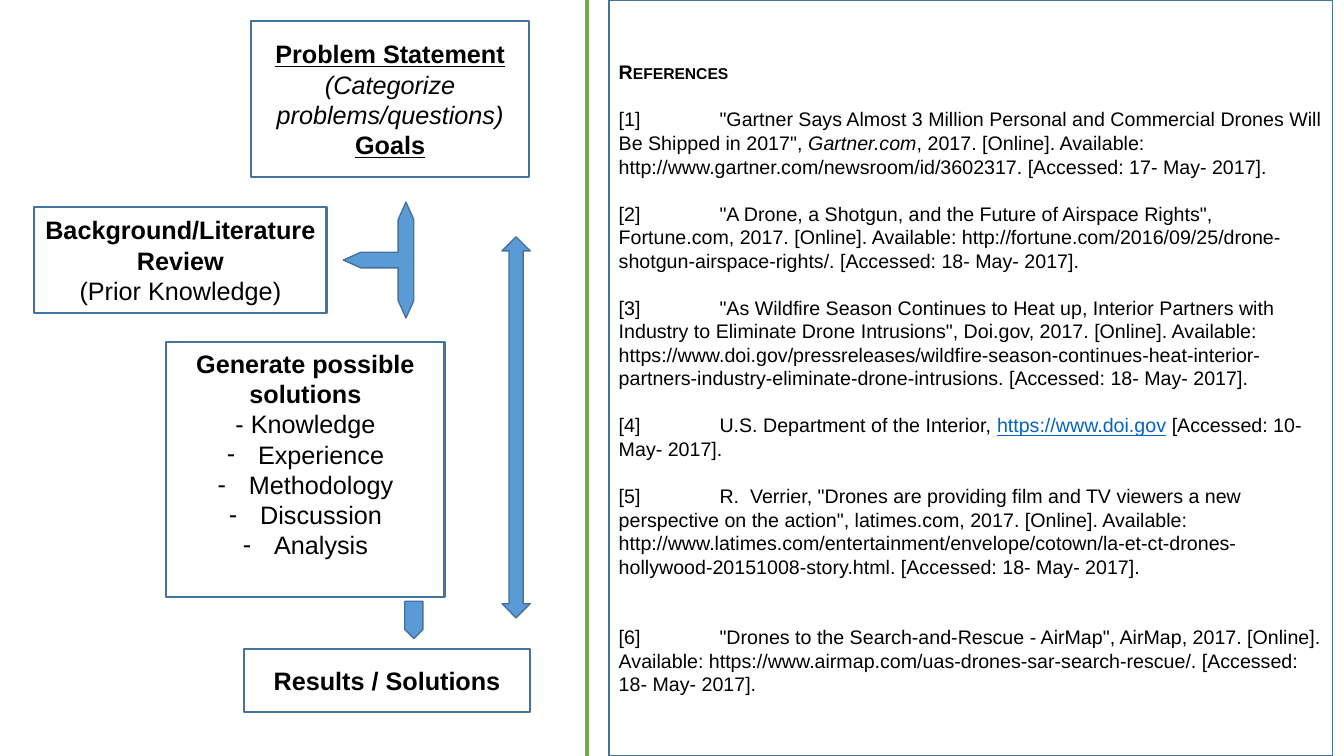
from lxml.etree import SubElement
from pptx import Presentation
from pptx.dml.color import RGBColor
from pptx.enum.shapes import MSO_CONNECTOR, MSO_SHAPE
from pptx.enum.text import MSO_ANCHOR, PP_ALIGN
from pptx.oxml.ns import qn
from pptx.util import Inches, Pt

SLIDE_WIDTH, SLIDE_HEIGHT = Inches(13.333), Inches(7.5)
BLACK = RGBColor(0x00, 0x00, 0x00)
WHITE = RGBColor(0xFF, 0xFF, 0xFF)
OUTLINE = RGBColor(0x43, 0x73, 0x9E)
ARROW_BLUE = RGBColor(0x5B, 0x9B, 0xD5)
DIVIDER_GREEN = RGBColor(0x70, 0xAD, 0x47)
LINK_BLUE = RGBColor(0x05, 0x63, 0xC1)

BOLD = {"bold": True}
ITALIC = {"italic": True}
HEADING = {"bold": True, "underline": True}
LINK = {"underline": True, "color": LINK_BLUE}

# Places are left, top, width, height in percent of the slide.
# Each paragraph is a list of (text, format) runs.
PROBLEM = ((18.68, 2.8, 20.7, 20.67), [
    [("Problem Statement", HEADING)],
    [("(Categorize problems/questions)", ITALIC)],
    [("Goals", HEADING)],
])
BACKGROUND = ((2.55, 27.33, 21.75, 14.13), [
    [("Background/Literature Review", BOLD)],
    [("(Prior Knowledge)", {})],
])
SOLUTIONS = ((12.38, 45.2, 20.7, 33.73), [
    [("Generate possible solutions", BOLD)],
    [("- Knowledge", {})],
])
METHODS = ["Experience", "Methodology", "Discussion", "Analysis"]
RESULTS = ((18.15, 85.87, 21.3, 8.27), [[("Results / Solutions", BOLD)]])

# Arrows: preset, place, rotation, adjustments
ARROWS = [
    (MSO_SHAPE.LEFT_RIGHT_UP_ARROW, (23.85, 29.73, 8.63, 9.33), 270,
     (0.221, 0.111, 0.25)),
    (MSO_SHAPE.PENTAGON, (29.4, 80.8, 2.78, 2.4), 90, ()),
    (MSO_SHAPE.UP_DOWN_ARROW, (37.35, 31.33, 2.1, 50.4), 0, ()),
]
DIVIDER_LEFT = 43.65
REFERENCES_PLACE = (45.3, 0, 53.85, 100)
REFERENCES = [
    [("[1] \t\"Gartner Says Almost 3 Million Personal and Commercial Drones "
      "Will Be Shipped in 2017\", ", {}),
     ("Gartner.com", ITALIC),
     (", 2017. [Online]. Available: http://www.gartner.com/newsroom/id/3602317."
      " [Accessed: 17- May- 2017].", {})],
    [("[2]\t\"A Drone, a Shotgun, and the Future of Airspace Rights\", "
      "Fortune.com, 2017. [Online]. Available: "
      "http://fortune.com/2016/09/25/drone-shotgun-airspace-rights/. "
      "[Accessed: 18- May- 2017].", {})],
    [("[3]\t\"As Wildfire Season Continues to Heat up, Interior Partners with "
      "Industry to Eliminate Drone Intrusions\", Doi.gov, 2017. [Online]. "
      "Available: https://www.doi.gov/pressreleases/wildfire-season-continues-"
      "heat-interior-partners-industry-eliminate-drone-intrusions. "
      "[Accessed: 18- May- 2017].", {})],
    [("[4]\tU.S. Department of the Interior, ", {}),
     ("https://www.doi.gov", LINK),
     (" [Accessed: 10- May- 2017].", {})],
    [("[5]\tR.  Verrier, \"Drones are providing film and TV viewers a new "
      "perspective on the action\", latimes.com, 2017. [Online]. Available: "
      "http://www.latimes.com/entertainment/envelope/cotown/la-et-ct-drones-"
      "hollywood-20151008-story.html. [Accessed: 18- May- 2017].", {})],
    [("[6]\t\"Drones to the Search-and-Rescue - AirMap\", AirMap, 2017. "
      "[Online]. Available: https://www.airmap.com/uas-drones-sar-search-rescue/."
      " [Accessed: 18- May- 2017].", {})],
]
REFERENCE_GAP = 16.8


def share(percent, length):
    return round(percent / 100 * length)


def add_preset(slide, preset, place, fill=None, line_width=1.0):
    left, top, width, height = place
    shape = slide.shapes.add_shape(
        preset, share(left, SLIDE_WIDTH), share(top, SLIDE_HEIGHT),
        share(width, SLIDE_WIDTH), share(height, SLIDE_HEIGHT))
    shape.shadow.inherit = False
    if fill is None:
        shape.fill.background()
    else:
        shape.fill.solid()
        shape.fill.fore_color.rgb = fill
    shape.line.color.rgb = OUTLINE
    shape.line.width = Pt(line_width)
    return shape


def add_runs(paragraph, runs, size):
    for text, formats in runs:
        run = paragraph.add_run()
        run.text = text
        run.font.color.rgb = formats.get("color", BLACK)
        values = {"name": "Arial", "size": Pt(size), **formats}
        for attribute, value in values.items():
            if attribute != "color":
                setattr(run.font, attribute, value)


def add_paragraph(frame, runs, size, alignment):
    first = frame.paragraphs[0]
    paragraph = frame.add_paragraph() if first.runs else first
    paragraph.alignment = alignment
    add_runs(paragraph, runs, size)
    return paragraph


def add_step(slide, step):
    place, paragraphs = step
    frame = add_preset(slide, MSO_SHAPE.RECTANGLE, place, line_width=1.5).text_frame
    frame.word_wrap = True
    frame.vertical_anchor = MSO_ANCHOR.MIDDLE
    for runs in paragraphs:
        add_paragraph(frame, runs, 18, PP_ALIGN.CENTER)
    return frame


def add_dash_item(frame, text):
    paragraph = add_paragraph(frame, [(text, {})], 18, PP_ALIGN.CENTER)
    properties = paragraph._p.get_or_add_pPr()
    properties.set("marL", str(Inches(0.31)))
    properties.set("indent", str(-Inches(0.31)))
    SubElement(properties, qn("a:buFont")).set("typeface", "Arial")
    SubElement(properties, qn("a:buChar")).set("char", "-")


def add_arrow(slide, preset, place, rotation, adjustments):
    arrow = add_preset(slide, preset, place, ARROW_BLUE)
    arrow.rotation = rotation
    for index, value in enumerate(adjustments):
        arrow.adjustments[index] = value


def add_divider(slide):
    left = share(DIVIDER_LEFT, SLIDE_WIDTH)
    divider = slide.shapes.add_connector(
        MSO_CONNECTOR.STRAIGHT, left, 0, left, SLIDE_HEIGHT)
    divider.line.color.rgb = DIVIDER_GREEN
    divider.line.width = Pt(3)
    SubElement(divider._element.spPr, qn("a:effectLst"))


def add_references(slide):
    panel = add_preset(slide, MSO_SHAPE.RECTANGLE, REFERENCES_PLACE, WHITE)
    frame = panel.text_frame
    frame.word_wrap = True
    frame.vertical_anchor = MSO_ANCHOR.MIDDLE
    heading = add_paragraph(frame, [("References", BOLD)], 14, PP_ALIGN.LEFT)
    heading.runs[0]._r.get_or_add_rPr().set("cap", "small")
    for runs in REFERENCES:
        reference = add_paragraph(frame, runs, 14, PP_ALIGN.LEFT)
        # The last reference stands apart by a double gap
        gaps = 2 if runs is REFERENCES[-1] else 1
        reference.space_before = Pt(gaps * REFERENCE_GAP)
        tabs = SubElement(reference._p.get_or_add_pPr(), qn("a:tabLst"))
        tab = SubElement(tabs, qn("a:tab"))
        tab.set("pos", str(Inches(1)))
        tab.set("algn", "l")


def main():
    presentation = Presentation()
    presentation.slide_width = SLIDE_WIDTH
    presentation.slide_height = SLIDE_HEIGHT
    slide = presentation.slides.add_slide(presentation.slide_layouts[6])

    # Problem-solving flow
    for step in (PROBLEM, BACKGROUND, RESULTS):
        add_step(slide, step)
    solutions = add_step(slide, SOLUTIONS)
    solutions.margin_bottom = Inches(0.35)
    for method in METHODS:
        add_dash_item(solutions, method)
    for arrow in ARROWS:
        add_arrow(slide, *arrow)

    # Reference list beside the flow
    add_divider(slide)
    add_references(slide)
    presentation.save("out.pptx")


if __name__ == "__main__":
    main()
